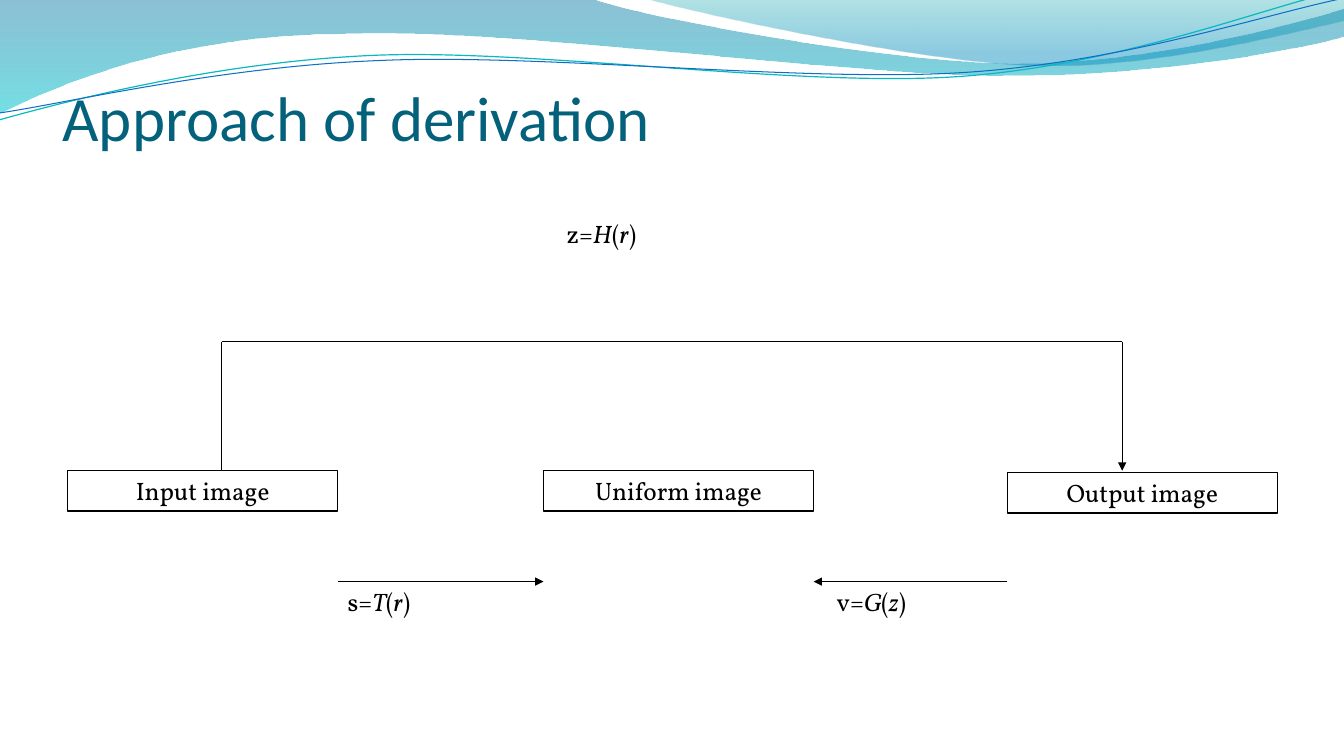
import copy
import math

import pptx
import pptx.dml.color
import pptx.enum.shapes
import pptx.enum.text
import pptx.util
from lxml import etree
from pptx.oxml.ns import qn
from pptx.util import Inches, Pt

THEME = {
    "ink": "000000",
    "title": {"name": "Calibri", "size": Pt(45), "color": "04617B"},
    "body": {"name": "Vollkorn", "size": Pt(18), "color": "000000"},
    "rule": 0.75,
}
WAVE_TILT = 357.3
WAVE_BANDS = [
    ([(0, -0.01), (5.87, -0.01),
      (6.34, 0.17, 8.85, 0.63, 10.11, 0.63), (11.38, 0.63, 12.78, 0.26, 13.33, 0.09),
      (13.35, 0.36),
      (13.11, 0.44, 11.6, 0.76, 9.94, 0.75), (8.29, 0.75, 5.09, 0.28, 3.43, 0.34),
      (1.72, 0.35, 0.61, 0.83, -0.01, 1.13), (0, -0.01)],
     [(0, "0074A1", 45), (1, "00C6CF", 55)]),
    ([(6.39, -0.01),
      (6.79, 0.11, 9.09, 0.62, 10.25, 0.65), (11.41, 0.69, 12.82, 0.32, 13.33, 0.21),
      (13.33, 0), (6.39, -0.01)],
     [(0, "00A1A9", 30), (0.8, "008BBF", 45)]),
]
WAVE_LINES = [
    ([(-0.01, 1.19),
      (0.64, 1.01, 2.11, 0.62, 3.69, 0.55), (5.27, 0.48, 7.9, 0.87, 9.5, 0.76),
      (11.1, 0.65, 12.52, 0.08, 13.31, -0.1)], (6.65, 0.57), "0AB8BF", 0.85),
    ([(0, 1.12),
      (0.63, 1.03, 2.18, 0.66, 3.78, 0.6), (5.37, 0.53, 7.96, 0.82, 9.55, 0.72),
      (11.15, 0.62, 12.55, 0.14, 13.34, -0.02)], (6.67, 0.59), "0F6FC6", 0.75),
]


def rgb(value):
    """Turn a hex string into a colour."""
    return pptx.dml.color.RGBColor.from_string(value)


def apply_format(target, values):
    """Set every attribute in values on target."""
    for name, value in values.items():
        if name == "color":
            target.color.rgb = rgb(value)
        else:
            setattr(target, name, value)


def pairs(segment):
    """Split a segment into its points."""
    return list(zip(segment[::2], segment[1::2]))


def level(segments, center):
    """Turn the segments about center so that the wave tilt is undone."""
    angle = math.radians(360 - WAVE_TILT)
    cos, sin = math.cos(angle), math.sin(angle)
    turned = []
    for segment in segments:
        offsets = [(x - center[0], y - center[1]) for x, y in pairs(segment)]
        turned.append([value for x, y in offsets
                       for value in (center[0] + x * cos - y * sin,
                                     center[1] + x * sin + y * cos)])
    return turned


def add_outline(page, segments, left, top, close):
    """Draw a freeform of straight and cubic segments, offset by left and top."""
    placed = [[(Inches(left + x), Inches(top + y)) for x, y in pairs(segment)]
              for segment in segments]
    builder = page.shapes.build_freeform(*placed[0][0])
    builder.add_line_segments([points[-1] for points in placed[1:]], close=close)
    shape = builder.convert_to_shape()
    shape.shadow.inherit = False
    for element, points in zip(shape.element.xpath(".//a:lnTo"), placed[1:]):
        if len(points) == 3:
            curve = etree.Element(qn("a:cubicBezTo"))
            for x, y in points:
                point = etree.SubElement(curve, qn("a:pt"))
                point.set("x", str(x - shape.left))
                point.set("y", str(y - shape.top))
            element.getparent().replace(element, curve)
    return shape


def add_waves(page, left, top):
    """Draw the shaded bands and thin curves of the header."""
    for segments, stops in WAVE_BANDS:
        band = add_outline(page, segments, left, top, True)
        band.line.fill.background()
        band.fill.gradient()
        band.fill.gradient_angle = 270
        for stop, (position, color, _) in zip(band.fill.gradient_stops, stops):
            stop.position = position
            stop.color.rgb = rgb(color)
        tints = band.element.xpath("p:spPr/a:gradFill/a:gsLst/a:gs/a:srgbClr")
        for tint, (_, _, alpha) in zip(tints, stops):
            etree.SubElement(tint, qn("a:alpha")).set("val", str(alpha * 1000))
    group = page.shapes.add_group_shape()
    for segments, center, color, width in WAVE_LINES:
        curve = add_outline(group, level(segments, center), left, top, False)
        curve.rotation = WAVE_TILT
        curve.fill.background()
        apply_format(curve.line, {"color": color, "width": Pt(width)})


def write(shape, spans, style, frame_format, alignment=None):
    """Write (text, italic) spans into a shape as one paragraph."""
    frame = shape.text_frame
    apply_format(frame, {"word_wrap": True, **frame_format})
    para = frame.paragraphs[0]
    para.alignment = alignment
    for text, italic in spans:
        span = para.add_run()
        span.text = text
        apply_format(span.font, {**style, "italic": italic})
    return para


def add_title(page, left, top, width, height):
    """Place the slide title, which ends in a line break."""
    box = page.shapes.add_textbox(*map(Inches, (left, top, width, height)))
    para = write(box, [("Approach of derivation", False)], THEME["title"],
                 {"margin_left": 0, "margin_right": 0, "margin_bottom": 0,
                  "vertical_anchor": pptx.enum.text.MSO_ANCHOR.BOTTOM})
    para.add_line_break()
    look = para.runs[0].font._element
    para._p.xpath("a:br")[0].append(copy.deepcopy(look))
    ending = copy.deepcopy(look)
    ending.tag = qn("a:endParaRPr")
    para._p.append(ending)


def add_stage(page, text, left, top, width, height):
    """Place a framed image stage."""
    box = page.shapes.add_shape(pptx.enum.shapes.MSO_SHAPE.RECTANGLE,
                                *map(Inches, (left, top, width, height)))
    box.shadow.inherit = False
    box.fill.background()
    apply_format(box.line, {"color": THEME["ink"], "width": Pt(THEME["rule"])})
    write(box, [(text, False)], THEME["body"],
          {"vertical_anchor": pptx.enum.text.MSO_ANCHOR.TOP,
           "auto_size": pptx.enum.text.MSO_AUTO_SIZE.SHAPE_TO_FIT_TEXT},
          pptx.enum.text.PP_ALIGN.CENTER)


def add_formula(page, result, function, variable, left, top):
    """Place a formula with its function and variable in italics."""
    box = page.shapes.add_textbox(*map(Inches, (left, top, 1.91, 0.4)))
    write(box, [(result + "=", False), (function, True), ("(", False),
                (variable, True), (")", False)], THEME["body"],
          {"auto_size": pptx.enum.text.MSO_AUTO_SIZE.SHAPE_TO_FIT_TEXT})


def add_rule(page, start, end, arrow):
    """Draw a straight line, with an arrowhead at its end if asked."""
    rule = page.shapes.add_connector(pptx.enum.shapes.MSO_CONNECTOR.STRAIGHT,
                                     *map(Inches, start + end))
    apply_format(rule.line, {"color": THEME["ink"], "width": Pt(THEME["rule"])})
    if arrow:
        head = etree.SubElement(rule.line._get_or_add_ln(), qn("a:tailEnd"))
        head.set("type", "triangle")
    etree.SubElement(rule.element.spPr, qn("a:effectLst"))


def add_diagram(page, left, top, width):
    """Draw the three stages and the mappings between them."""
    group = page.shapes.add_group_shape()
    stage_width, stage_height = 2.68, 0.4
    stage_top = top + 2.55
    middle, last = left + 4.72, left + width - stage_width
    for text, x, drop in (("Input image", left, 0), ("Uniform image", middle, 0),
                          ("Output image", last, 0.02)):
        add_stage(group, text, x, stage_top + drop, stage_width, stage_height)

    arrow_top = stage_top + 1.1
    first_end, middle_end = left + stage_width, middle + stage_width
    add_rule(group, (first_end, arrow_top), (middle, arrow_top), True)
    add_formula(group, "s", "T", "r", first_end, arrow_top)
    add_formula(group, "v", "G", "z", middle_end + 0.13, arrow_top)
    add_rule(group, (last, arrow_top), (middle_end, arrow_top), True)

    bridge_top = top + 1.27
    bridge_left, bridge_right = left + 1.53, left + 10.46
    add_rule(group, (bridge_left, stage_top), (bridge_left, bridge_top), False)
    add_rule(group, (bridge_right, bridge_top), (bridge_right, stage_top), True)
    add_rule(group, (bridge_left, bridge_top), (bridge_right, bridge_top), False)
    add_formula(group, "z", "H", "r", middle + 0.13, top)


def main():
    """Build and save the slide."""
    deck = pptx.Presentation()
    deck.slide_width, deck.slide_height = Inches(13.33), Inches(7.5)
    page = deck.slides.add_slide(deck.slide_layouts[6])
    add_waves(page, 0, 0)
    add_title(page, 0.62, 1.03, 12, 1.25)
    add_diagram(page, 0.67, 2.12, 12)
    deck.save("out.pptx")


if __name__ == "__main__":
    main()
